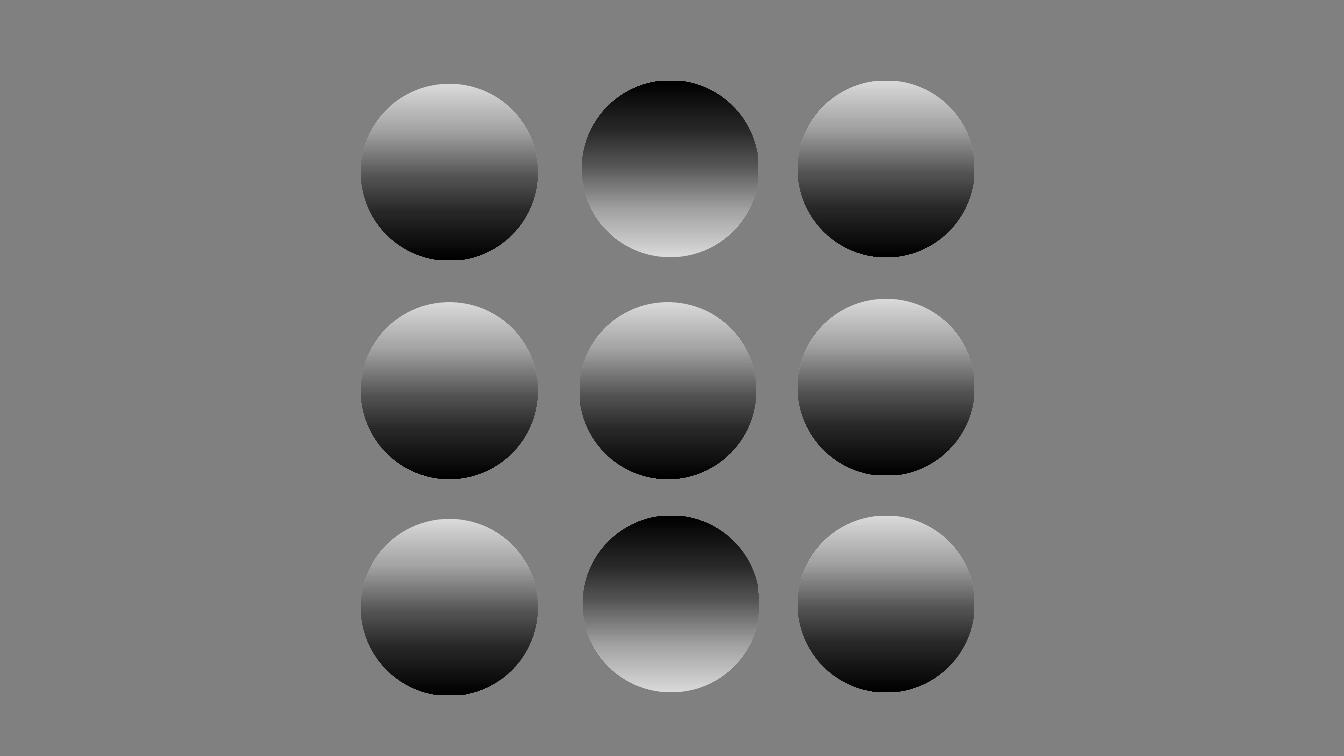
from lxml import etree
from pptx import Presentation
from pptx.dml.color import RGBColor
from pptx.enum.shapes import MSO_SHAPE
from pptx.oxml.ns import qn
from pptx.util import Inches

COLORS = {
    "background": "808080",
    "white": "FFFFFF",
    "light": "D9D9D9",
    "silver": "A6A6A6",
    "middle": "505050",
    "dark": "262626",
    "black": "000000",
}
# Shading from lit top to dark bottom: percent and colour
SHADING = [(0, "white"), (0, "light"), (25, "silver"),
           (54, "middle"), (73, "dark"), (100, "black")]

DIAMETER = 2.1
COLUMNS = [4.3, 6.9, 9.5]
ROWS = [1, 3.6, 6.18]
RIGHT_LIFT = 0.04
# Upside-down balls, by (column, row), with their left and top
FLIPPED = {(1, 0): (6.93, 0.96), (1, 2): (6.94, 6.14)}


def set_background(slide):
    fill = slide.background.fill
    fill.solid()
    fill.fore_color.rgb = RGBColor.from_string(COLORS["background"])


def shade(shape):
    """Fill a shape with the vertical multi-stop gradient."""
    shape.fill.gradient()
    shape.fill.gradient_angle = 270  # counter-clockwise, so top to bottom
    stops = shape.element.spPr.find(qn("a:gradFill")).find(qn("a:gsLst"))
    for stop in list(stops):
        stops.remove(stop)
    for percent, name in SHADING:
        stop = etree.SubElement(stops, qn("a:gs"), pos=str(percent * 1000))
        etree.SubElement(stop, qn("a:srgbClr"), val=COLORS[name])


def add_ball(group, left, top, rotation=0):
    ball = group.shapes.add_shape(MSO_SHAPE.OVAL, Inches(left), Inches(top),
                                  Inches(DIAMETER), Inches(DIAMETER))
    ball.rotation = rotation
    ball.shadow.inherit = False
    ball.line.fill.background()
    shade(ball)


def add_ball_grid(slide):
    group = slide.shapes.add_group_shape()
    for column, left in enumerate(COLUMNS):
        lift = RIGHT_LIFT if column == 2 else 0
        for row, top in enumerate(ROWS):
            if (column, row) not in FLIPPED:
                add_ball(group, left, top - lift)
    for left, top in FLIPPED.values():
        add_ball(group, left, top, rotation=180)


def main():
    presentation = Presentation()
    presentation.slide_width = Inches(16)
    presentation.slide_height = Inches(9)
    slide = presentation.slides.add_slide(presentation.slide_layouts[6])
    set_background(slide)
    add_ball_grid(slide)
    presentation.save("out.pptx")


if __name__ == "__main__":
    main()
